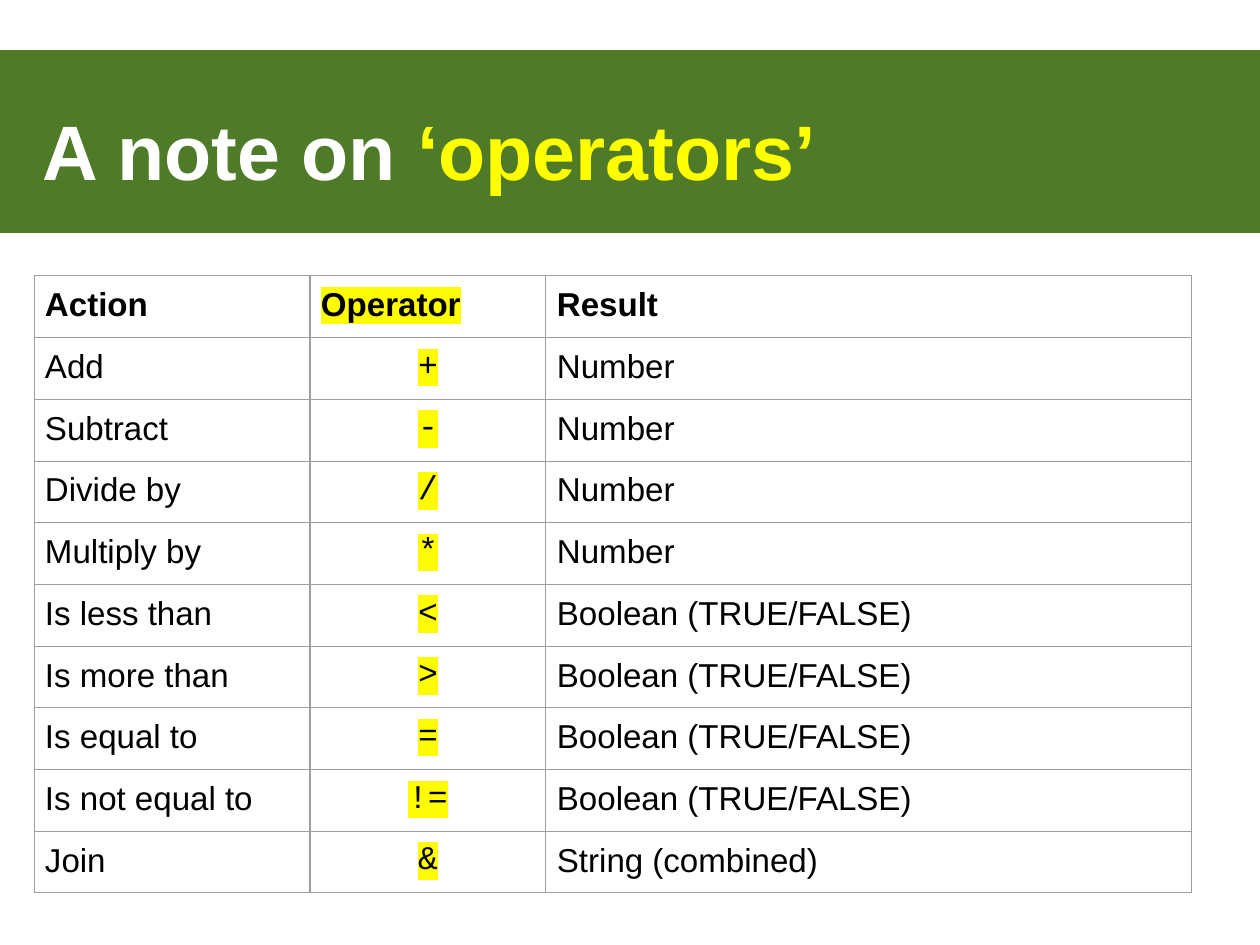
"""Build the slide that lists the operators and the results they give."""
from dataclasses import dataclass
from typing import Optional

from lxml.etree import SubElement
from pptx import Presentation
from pptx.dml.color import RGBColor
from pptx.enum.shapes import MSO_SHAPE
from pptx.enum.text import MSO_ANCHOR, PP_ALIGN
from pptx.oxml.ns import qn
from pptx.slide import Slide
from pptx.table import _Cell
from pptx.text.text import _Run
from pptx.util import Emu, Pt

EMU_PER_PX = 8064
SLIDE_WIDTH, SLIDE_HEIGHT = 1260, 945
COLUMN_WIDTHS = (276, 236, 646)
ROW_HEIGHT = 60
CELL_MARGIN = 11
BORDER_WIDTH = Pt(0.75)

WHITE = "FFFFFF"
BLACK = "000000"
GREEN = "4F7A28"
YELLOW = "FFFF00"
MARKER = "FFFB00"
GREY = "9E9E9E"


@dataclass(frozen=True)
class Style:
    size: int
    color: str
    bold: bool = False
    font: str = "Arial"
    highlight: Optional[str] = None
    align: PP_ALIGN = PP_ALIGN.LEFT


@dataclass(frozen=True)
class Operation:
    action: str
    operator: str
    result: str


HEADING = Style(49, WHITE, bold=True)
HEADING_ACCENT = Style(49, YELLOW, bold=True)
HEADER = Style(21, BLACK, bold=True)
HEADER_MARKED = Style(21, BLACK, bold=True, highlight=MARKER)
BODY = Style(21, BLACK)
SYMBOL = Style(21, BLACK, font="Courier New", highlight=MARKER, align=PP_ALIGN.CENTER)

HEADER_STYLES = (HEADER, HEADER_MARKED, HEADER)
BODY_STYLES = (BODY, SYMBOL, BODY)

BOOLEAN = "Boolean (TRUE/FALSE)"
COLUMN_TITLES = Operation("Action", "Operator", "Result")
OPERATIONS = (
    Operation("Add", "+", "Number"),
    Operation("Subtract", "-", "Number"),
    Operation("Divide by", "/", "Number"),
    Operation("Multiply by", "*", "Number"),
    Operation("Is less than", "<", BOOLEAN),
    Operation("Is more than", ">", BOOLEAN),
    Operation("Is equal to", "=", BOOLEAN),
    Operation("Is not equal to", "!=", BOOLEAN),
    Operation("Join", "&", "String (combined)"),
)


def px(length: int) -> Emu:
    """Turn pixels into EMU."""
    return Emu(length * EMU_PER_PX)


def rgb(color: str) -> RGBColor:
    """Turn a hex string into a colour."""
    return RGBColor.from_string(color)


def format_run(run: _Run, style: Style) -> None:
    """Apply a style to a run, with its highlight right after the fill."""
    run.font.size = Pt(style.size)
    run.font.bold = style.bold
    run.font.name = style.font
    run.font.color.rgb = rgb(style.color)
    if style.highlight:
        properties = run._r.get_or_add_rPr()
        highlight = SubElement(properties, qn("a:highlight"))
        SubElement(highlight, qn("a:srgbClr"), val=style.highlight)
        properties.find(qn("a:solidFill")).addnext(highlight)


def add_band(slide: Slide) -> None:
    """Draw the green band behind the heading."""
    band = slide.shapes.add_shape(
        MSO_SHAPE.RECTANGLE, px(0), px(50), px(1268), px(183)
    )
    band.shadow.inherit = False
    band.fill.solid()
    band.fill.fore_color.rgb = rgb(GREEN)
    band.line.fill.background()


def add_heading(slide: Slide) -> None:
    """Write the two-coloured heading."""
    frame = slide.shapes.add_textbox(px(43), px(107), px(1158), px(95)).text_frame
    frame.word_wrap = True
    frame.vertical_anchor = MSO_ANCHOR.MIDDLE
    frame.margin_left = frame.margin_right = px(0)
    frame.margin_top = frame.margin_bottom = px(0)
    paragraph = frame.paragraphs[0]
    paragraph.line_spacing = 0.95
    for words, style in (("A note on ", HEADING), ("‘operators’", HEADING_ACCENT)):
        run = paragraph.add_run()
        run.text = words
        format_run(run, style)


def add_borders(cell: _Cell) -> None:
    """Put a thin grey line on each side of a cell, ahead of its fill."""
    properties = cell._tc.get_or_add_tcPr()
    for position, side in enumerate(("a:lnL", "a:lnR", "a:lnT", "a:lnB")):
        border = SubElement(properties, qn(side), w=str(BORDER_WIDTH))
        fill = SubElement(border, qn("a:solidFill"))
        SubElement(fill, qn("a:srgbClr"), val=GREY)
        properties.insert(position, border)


def fill_cell(cell: _Cell, words: str, style: Style) -> None:
    """Write and format one cell."""
    cell.margin_left = cell.margin_right = px(CELL_MARGIN)
    cell.margin_top = cell.margin_bottom = px(CELL_MARGIN)
    cell.fill.solid()
    cell.fill.fore_color.rgb = rgb(WHITE)
    add_borders(cell)
    cell.text_frame.text = words
    paragraph = cell.text_frame.paragraphs[0]
    paragraph.alignment = style.align
    format_run(paragraph.runs[0], style)


def add_operations(slide: Slide) -> None:
    """Draw the table of operations under its column titles."""
    entries = (COLUMN_TITLES, *OPERATIONS)
    operations = slide.shapes.add_table(
        len(entries), len(COLUMN_WIDTHS), px(34), px(276),
        px(sum(COLUMN_WIDTHS)), px(ROW_HEIGHT * len(entries)),
    ).table
    operations.first_row = False
    operations.horz_banding = False
    for column, width in zip(operations.columns, COLUMN_WIDTHS):
        column.width = px(width)
    for row, entry in zip(operations.rows, entries):
        row.height = px(ROW_HEIGHT)
        styles = HEADER_STYLES if entry is COLUMN_TITLES else BODY_STYLES
        texts = (entry.action, entry.operator, entry.result)
        for cell, words, style in zip(row.cells, texts, styles):
            fill_cell(cell, words, style)


def main() -> None:
    """Assemble and save the presentation."""
    presentation = Presentation()
    presentation.slide_width = px(SLIDE_WIDTH)
    presentation.slide_height = px(SLIDE_HEIGHT)
    slide = presentation.slides.add_slide(presentation.slide_layouts[6])
    add_band(slide)
    add_heading(slide)
    add_operations(slide)
    presentation.save("out.pptx")


if __name__ == "__main__":
    main()
